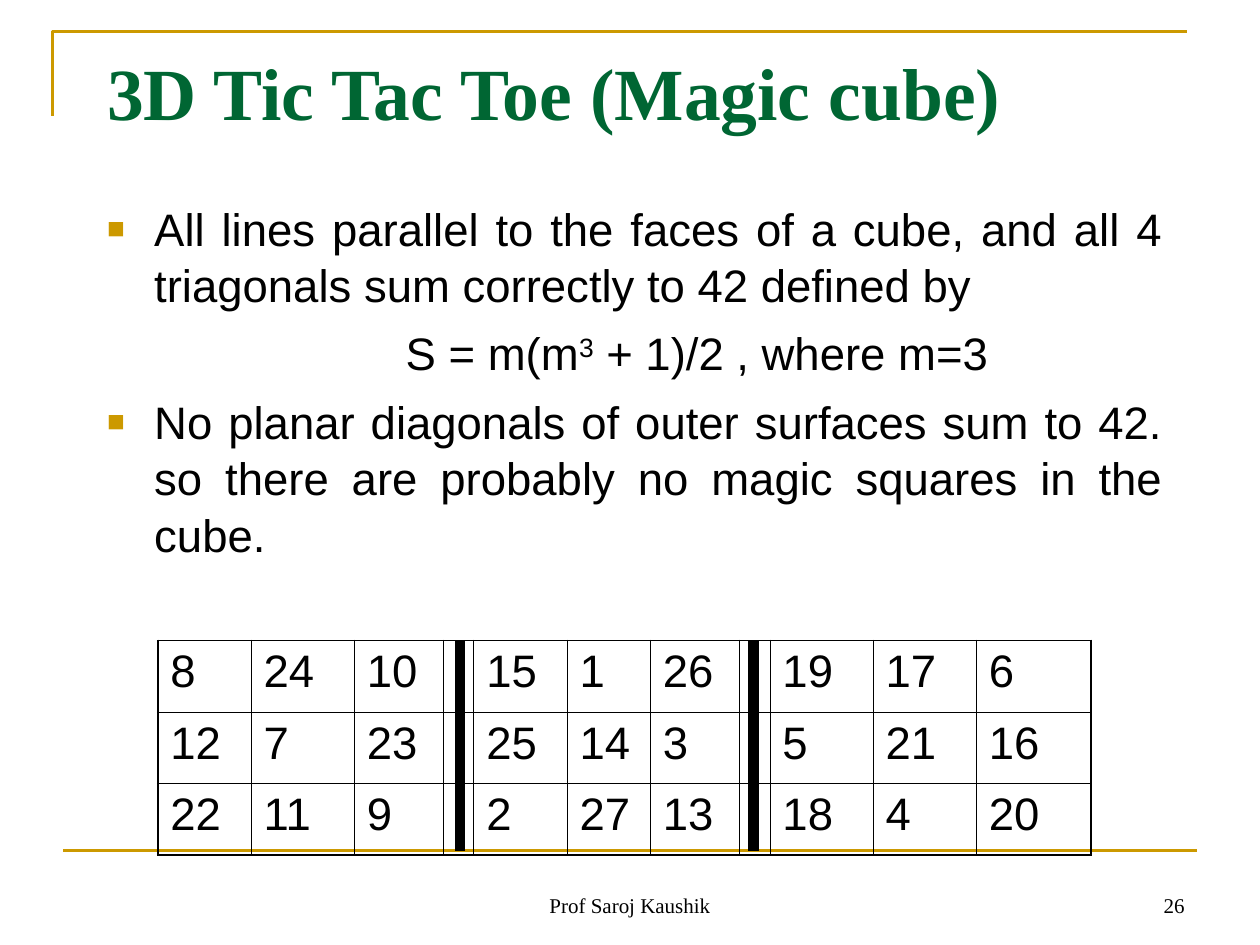
from lxml.etree import SubElement
from pptx import Presentation
from pptx.dml.color import RGBColor
from pptx.enum.shapes import MSO_CONNECTOR
from pptx.enum.text import MSO_ANCHOR, PP_ALIGN
from pptx.oxml.ns import qn
from pptx.util import Cm, Pt

GOLD, GREEN, BLACK = "CC9900", "006633", "000000"
SANS, SERIF = "Arial", "Times New Roman"

CUBE_LAYERS = [
    [[8, 24, 10], [12, 7, 23], [22, 11, 9]],
    [[15, 1, 26], [25, 14, 3], [2, 27, 13]],
    [[19, 17, 6], [5, 21, 16], [18, 4, 20]],
]
GAP = 0.61
COLUMN_WIDTHS = [1.88, 2.08, 1.8, GAP, 1.88, 1.68, 1.8, GAP, 2.08, 2.08, 2.31]
ROW_HEIGHT = 1.44
CUBE_LEFT, CUBE_TOP = 3.18, 12.91


def rgb(color):
    return RGBColor.from_string(color)


def style(paragraph, size, font, color=BLACK, bold=False):
    paragraph.font.size = Pt(size)
    paragraph.font.name = font
    paragraph.font.bold = bold
    paragraph.font.color.rgb = rgb(color)


def add_box(slide, left, top, width, height, anchor=MSO_ANCHOR.TOP, margin_top=0.13):
    box = slide.shapes.add_textbox(Cm(left), Cm(top), Cm(width), Cm(height))
    frame = box.text_frame
    frame.word_wrap = True
    frame.vertical_anchor = anchor
    frame.margin_top = Cm(margin_top)
    return frame


def add_label(slide, text, left, width, align):
    """Add a footer text along the bottom of the slide."""
    frame = add_box(slide, left, 17.36, width, 1.27, MSO_ANCHOR.BOTTOM)
    paragraph = frame.paragraphs[0]
    paragraph.text = text
    paragraph.alignment = align
    style(paragraph, 12, SERIF)


def add_line(slide, x1, y1, x2, y2, color, weight):
    line = slide.shapes.add_connector(
        MSO_CONNECTOR.STRAIGHT, Cm(x1), Cm(y1), Cm(x2), Cm(y2))
    line.line.color.rgb = rgb(color)
    line.line.width = Pt(weight)
    SubElement(line._element.spPr, qn("a:effectLst"))


def add_corner(slide):
    builder = slide.shapes.build_freeform(Cm(1.06), Cm(2.33))
    builder.add_line_segments(
        [(Cm(1.06), Cm(0.64)), (Cm(23.92), Cm(0.64))], close=False)
    corner = builder.convert_to_shape()
    corner.shadow.inherit = False
    corner.fill.background()
    corner.line.color.rgb = rgb(GOLD)
    corner.line.width = Pt(1.5)


def add_bullet(paragraph):
    properties = paragraph._p.get_or_add_pPr()
    color = SubElement(properties, qn("a:buClr"))
    SubElement(color, qn("a:srgbClr"), val=GOLD)
    SubElement(properties, qn("a:buSzPct"), val="65000")
    SubElement(properties, qn("a:buFont"), typeface=SANS)
    SubElement(properties, qn("a:buChar"), char="■")


def add_point(frame, parts, indent, hanging=0.0, first=False):
    """Add a justified paragraph; parts are (text, baseline) pairs."""
    paragraph = frame.paragraphs[0] if first else frame.add_paragraph()
    paragraph.alignment = PP_ALIGN.JUSTIFY
    paragraph.line_spacing = 1.04
    if not first:
        paragraph.space_before = Pt(6.5)
    properties = paragraph._p.get_or_add_pPr()
    properties.set("marL", str(Cm(indent)))
    properties.set("indent", str(-Cm(hanging)))
    if hanging:
        add_bullet(paragraph)
    for text, baseline in parts:
        run = paragraph.add_run()
        run.text = text
        if baseline:
            run._r.get_or_add_rPr().set("baseline", str(baseline))
    style(paragraph, 26, SANS)


def set_borders(cell, weights):
    """Draw cell borders; weights are points for left, right, top, bottom."""
    properties = cell._tc.get_or_add_tcPr()
    for side, weight in zip("LRTB", weights):
        border = SubElement(properties, qn(f"a:ln{side}"), w=str(Pt(weight)))
        fill = SubElement(border, qn("a:solidFill"))
        SubElement(fill, qn("a:srgbClr"), val=BLACK)


def add_cube_table(slide):
    """Show the three layers side by side, with a narrow column between."""
    first, second, third = CUBE_LAYERS
    rows = [a + [""] + b + [""] + c for a, b, c in zip(first, second, third)]
    last_row, last_column = len(rows) - 1, len(COLUMN_WIDTHS) - 1
    table = slide.shapes.add_table(
        len(rows), len(COLUMN_WIDTHS), Cm(CUBE_LEFT), Cm(CUBE_TOP),
        Cm(sum(COLUMN_WIDTHS)), Cm(ROW_HEIGHT * len(rows))).table
    table.first_row = table.horz_banding = False
    for column, width in zip(table.columns, COLUMN_WIDTHS):
        column.width = Cm(width)
    for i, row in enumerate(rows):
        table.rows[i].height = Cm(ROW_HEIGHT)
        for j, number in enumerate(row):
            cell = table.cell(i, j)
            outer = (j == 0, j == last_column, i == 0, i == last_row)
            set_borders(cell, [1.08 if edge else 0.45 for edge in outer])
            cell.fill.background()
            paragraph = cell.text_frame.paragraphs[0]
            paragraph.text = str(number)
            style(paragraph, 26, SANS)


def main():
    presentation = Presentation()
    presentation.slide_width, presentation.slide_height = Cm(25.4), Cm(19.05)
    slide = presentation.slides.add_slide(presentation.slide_layouts[6])

    add_corner(slide)
    add_line(slide, 1.27, 17.15, 24.13, 17.15, GOLD, 1.5)

    title = add_box(slide, 1.91, 0.64, 21.59, 2.74, margin_top=0.3).paragraphs[0]
    title.text = "3D Tic Tac Toe (Magic cube)"
    style(title, 42, SERIF, GREEN, bold=True)

    body = add_box(slide, 1.91, 3.81, 21.8, 8.26, margin_top=0.19)
    add_point(body, [("All lines parallel to the faces of a cube, and all 4 "
                      "triagonals sum correctly to 42 defined by", 0)],
              0.95, 0.95, first=True)
    add_point(body, [("S = m(m", 0), ("3", 30000), (" + 1)/2 , where m=3", 0)], 6.02)
    add_point(body, [("No planar diagonals of outer surfaces sum to 42. so there "
                      "are probably no magic squares in the cube.", 0)], 0.95, 0.95)

    add_cube_table(slide)
    for x in (9.27, 15.19):
        add_line(slide, x, CUBE_TOP, x, 17.15, BLACK, 6)

    add_label(slide, "Prof Saroj Kaushik", 8.68, 8.04, PP_ALIGN.CENTER)
    add_label(slide, "26", 18.2, 5.93, PP_ALIGN.RIGHT)
    presentation.save("out.pptx")


if __name__ == "__main__":
    main()
